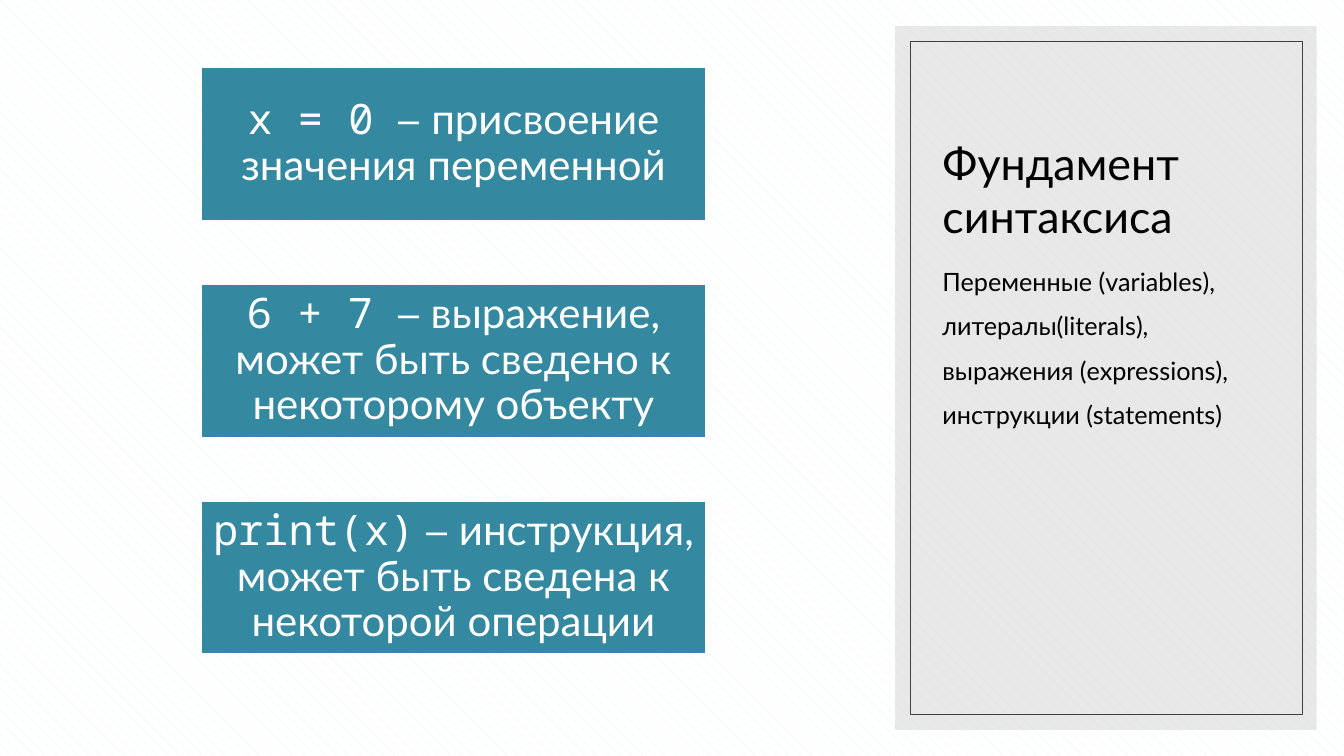
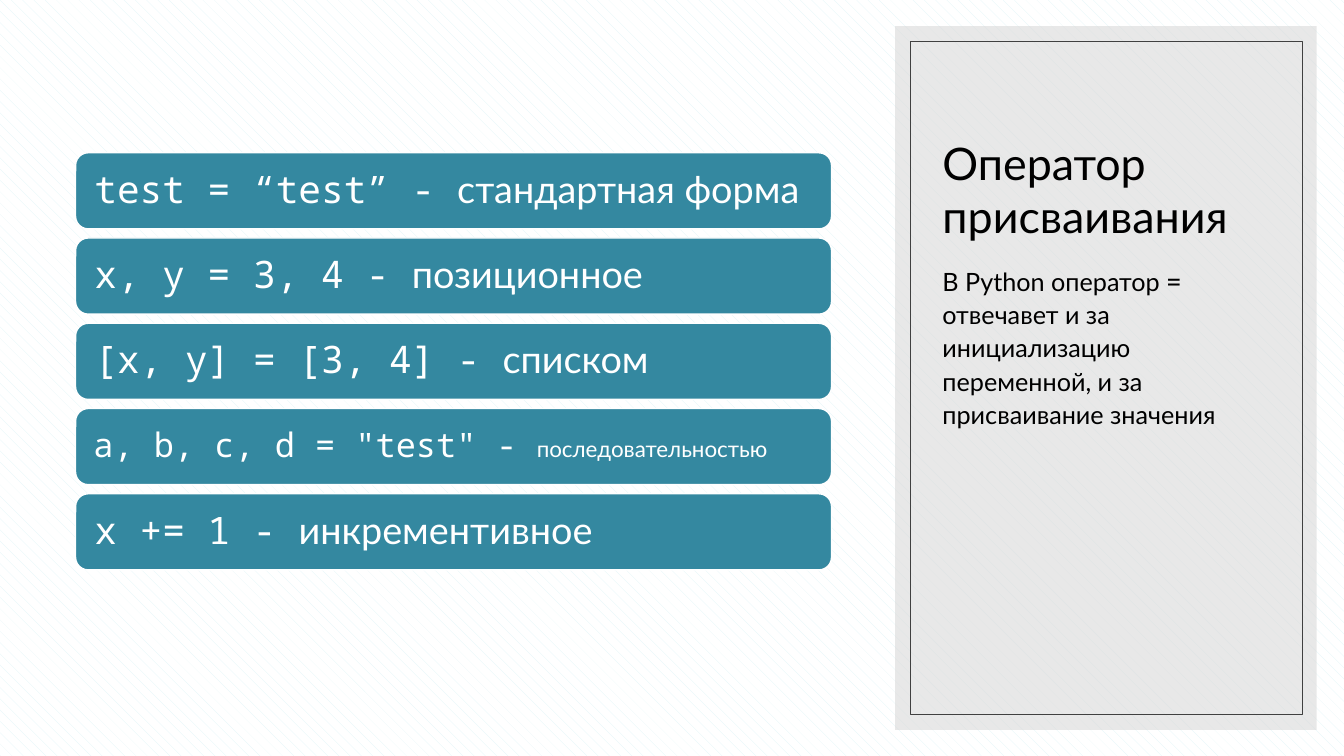
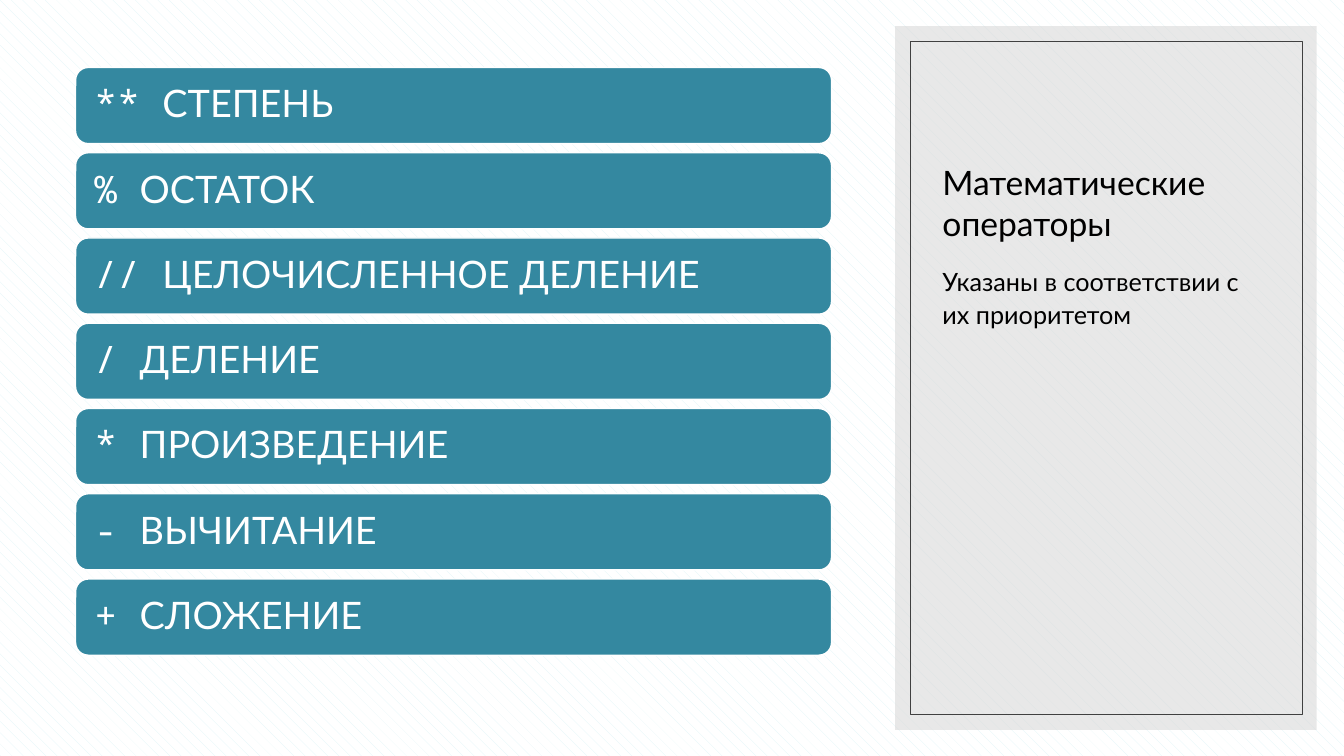
from lxml.etree import SubElement
from pptx import Presentation
from pptx.dml.color import RGBColor
from pptx.enum.dml import MSO_PATTERN
from pptx.enum.shapes import MSO_SHAPE
from pptx.enum.text import MSO_ANCHOR, MSO_AUTO_SIZE, PP_ALIGN
from pptx.oxml.ns import qn
from pptx.util import Pt

# Colours and fonts
TEAL = RGBColor(0x34, 0x88, 0xA0)
PALE_TEAL = RGBColor(0xDE, 0xF4, 0xF7)
GREY = RGBColor(0xD9, 0xD9, 0xD9)
DARK_GREY = RGBColor(0x40, 0x40, 0x40)
WHITE = RGBColor(0xFF, 0xFF, 0xFF)
BLACK = RGBColor(0, 0, 0)
TEXT, CODE, DASH = "Lato", "Noto Sans Mono", "TeX Gyre Adventor"

# Grid, in points
TOP = 48.2
CARD_LEFT, CARD_W, CARD_H, CARD_STEP = 144, 360, 109.4, 154.8
BAR_LEFT, BAR_W, BAR_H, BAR_STEP = 54, 540, 54.4, 60.9


class Deck:
    def __init__(self):
        self.prs = Presentation()
        self.prs.slide_width, self.prs.slide_height = Pt(960), Pt(540)
        self.layout = self.prs.slide_layouts[1]
        self.slide = None

        # Hatched background and placeholder positions for every slide
        fill = self.layout.background.fill
        fill.patterned()
        fill.pattern = MSO_PATTERN.SHINGLE
        fill.fore_color.rgb, fill.back_color.rgb = PALE_TEAL, WHITE
        title, body, *footers = self.layout.placeholders
        self.place(title, 666, 47.5, 249, 129.6)
        self.place(body, 666, 184.3, 249, 283.7)
        for sp in footers:
            sp.element.getparent().remove(sp.element)

    def place(self, sp, left, top, width, height):
        sp.left, sp.top, sp.width, sp.height = map(Pt, (left, top, width, height))

    def add_slide(self, title, title_size, body):
        self.slide = self.prs.slides.add_slide(self.layout)
        if len(self.prs.slides) == 1:
            self.add_panel()

        tf = self.slide.shapes.title.text_frame
        tf.auto_size = MSO_AUTO_SIZE.NONE
        tf.vertical_anchor = MSO_ANCHOR.BOTTOM
        self.add_runs(tf.paragraphs[0], [(title, TEXT)], title_size, BLACK)

        tf = self.slide.placeholders[1].text_frame
        tf.auto_size = MSO_AUTO_SIZE.NONE
        for i, runs in enumerate(body):
            p = tf.add_paragraph() if i else tf.paragraphs[0]
            self.add_runs(p, runs, 18, BLACK)
            p.line_spacing, p.space_before = 1.1, Pt(8)
            pPr = p._p.get_or_add_pPr()
            pPr.set("marL", "0")
            pPr.set("indent", "0")
            pPr.insert_element_before(pPr.makeelement(qn("a:buNone")), "a:tabLst", "a:defRPr")

    def add_panel(self):
        """Side panel and its frame, moved to the layout behind the placeholders."""
        panel = self.add_box(MSO_SHAPE.RECTANGLE, 639.4, 18.7, 301, 502.6)
        panel.fill.solid()
        panel.fill.fore_color.rgb = GREY
        panel.line.fill.background()
        clr = panel.element.spPr.find(".//" + qn("a:srgbClr"))
        SubElement(clr, qn("a:alpha"), val="60000")

        frame = self.add_box(MSO_SHAPE.RECTANGLE, 650.2, 29.5, 280, 481)
        frame.fill.background()
        frame.line.color.rgb, frame.line.width = DARK_GREY, Pt(0.5)

        for i, sp in enumerate((panel, frame)):
            self.layout.shapes.element.insert(2 + i, sp.element)

    def add_box(self, kind, left, top, width, height):
        sp = self.slide.shapes.add_shape(kind, *map(Pt, (left, top, width, height)))
        sp.shadow.inherit = False
        return sp

    def add_runs(self, p, runs, size, color, align=PP_ALIGN.LEFT):
        """Runs are (text, font) or (text, font, own size)."""
        p.alignment = align
        p.font.size, p.font.color.rgb = Pt(size), color
        for text, name, *own_size in runs:
            r = p.add_run()
            r.text, r.font.name = text, name
            if own_size:
                r.font.size = Pt(own_size[0])

    def add_label(self, kind, at, runs, size, inset, align):
        sp = self.add_box(kind, *at)
        sp.fill.solid()
        sp.fill.fore_color.rgb = TEAL
        sp.line.color.rgb, sp.line.width = WHITE, Pt(1)
        tf = sp.text_frame
        tf.word_wrap, tf.vertical_anchor = True, MSO_ANCHOR.MIDDLE
        tf.margin_left = tf.margin_right = Pt(inset)
        tf.margin_top = tf.margin_bottom = Pt(1.5)
        p = tf.paragraphs[0]
        self.add_runs(p, runs, size, WHITE, align)
        p.line_spacing = 0.9

    def add_cards(self, cards):
        for i, runs in enumerate(cards):
            at = CARD_LEFT, TOP + i * CARD_STEP, CARD_W, CARD_H
            self.add_label(MSO_SHAPE.RECTANGLE, at, runs, 30, 1.5, PP_ALIGN.CENTER)

    def add_bars(self, bars, first_row=0):
        for row, (code, text, *sizes) in enumerate(bars, first_row):
            at = BAR_LEFT, TOP + row * BAR_STEP, BAR_W, BAR_H
            code_size, text_size = sizes or (27, 27)
            runs = [(code + " ", CODE), (text, TEXT)]
            if text_size != code_size:
                runs[1] += (text_size,)
            inset = 10.8 if code_size == 27 else 10
            self.add_label(MSO_SHAPE.ROUNDED_RECTANGLE, at, runs, code_size, inset, PP_ALIGN.LEFT)


def main():
    deck = Deck()

    # Syntax basics
    terms = ("Переменные (variables),", "литералы(literals),",
             "выражения (expressions),", "инструкции (statements)")
    deck.add_slide("Фундамент синтаксиса", 32, [[(term, TEXT)] for term in terms])
    deck.add_cards([
        [("x = 0 ", CODE), ("– ", DASH), ("присвоение значения переменной", TEXT)],
        [("6 + 7 ", CODE), ("– ", DASH),
         ("выражение, может быть сведено к некоторому объекту", TEXT)],
        [("print(x)", CODE), (" – ", DASH),
         ("инструкция, может быть сведена к некоторой операции", TEXT)],
    ])

    # Assignment
    deck.add_slide("Оператор присваивания", 32, [[
        ("В Python оператор ", TEXT), ("=", CODE),
        (" отвечавет и за инициализацию переменной, и за присваивание значения", TEXT),
    ]])
    deck.add_bars([
        ("test = “test” -", "стандартная форма"),
        ("x, y = 3, 4 -", "позиционное"),
        ("[x, y] = [3, 4] -", "списком"),
        ('a, b, c, d = "test" -', "последовательностью", 24, 16),
        ("x += 1 -", "инкрементивное"),
    ], first_row=1)

    # Arithmetic operators
    deck.add_slide("Математические операторы", 24,
                   [[("Указаны в соответствии с их приоритетом", TEXT)]])
    deck.add_bars([
        ("**", "СТЕПЕНЬ"),
        ("%", "ОСТАТОК"),
        ("//", "ЦЕЛОЧИСЛЕННОЕ ДЕЛЕНИЕ"),
        ("/", "ДЕЛЕНИЕ"),
        ("*", "ПРОИЗВЕДЕНИЕ"),
        ("-", "ВЫЧИТАНИЕ"),
        ("+", "СЛОЖЕНИЕ"),
    ])

    deck.prs.save("out.pptx")


if __name__ == "__main__":
    main()
